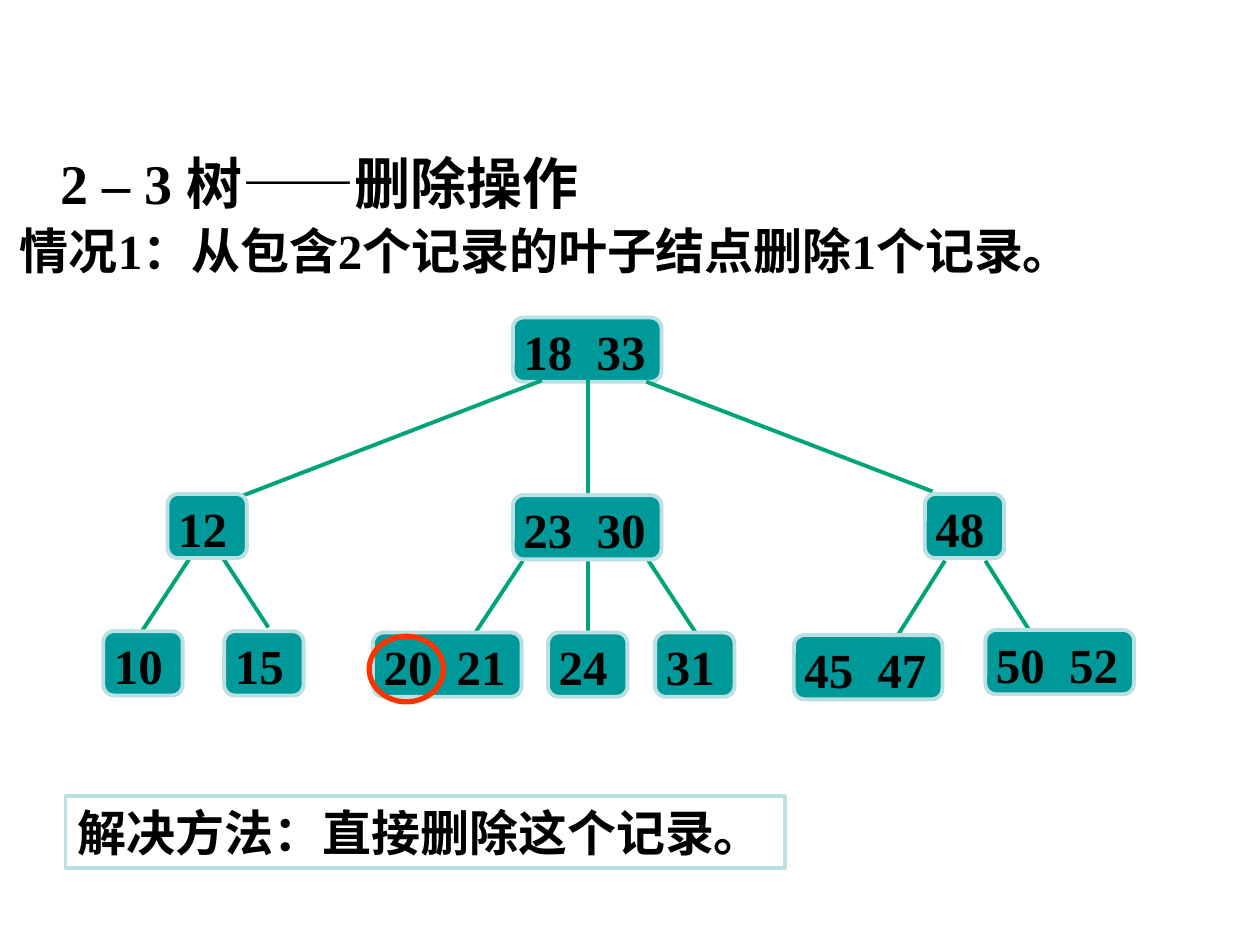
from lxml import etree
from pptx import Presentation
from pptx import util as u
from pptx.dml.color import RGBColor
from pptx.enum import shapes, text
from pptx.oxml.ns import qn

TEAL, PALE, GREEN, RED = "009999", "BBE0E3", "00A479", "FF3300"
NODE_HEIGHT = 0.51
NODE_WIDTHS = {1: 0.63, 2: 1.18}
KEY_GAP = 0.58


def write_text(shape, content, size=28, margins=(0.1, 0.05, 0.1, 0.05),
               anchor=text.MSO_ANCHOR.MIDDLE, wrap=True, grow=True, tab=None):
    """Fill the shape with one bold line; tab is a left tab stop in inches."""
    frame = shape.text_frame
    frame.word_wrap = wrap
    frame.vertical_anchor = anchor
    frame.auto_size = text.MSO_AUTO_SIZE.SHAPE_TO_FIT_TEXT if grow else text.MSO_AUTO_SIZE.NONE
    (frame.margin_left, frame.margin_top,
     frame.margin_right, frame.margin_bottom) = map(u.Inches, margins)
    paragraph = frame.paragraphs[0]
    paragraph.alignment = text.PP_ALIGN.LEFT
    if tab:
        properties = paragraph._p.get_or_add_pPr()
        stops = etree.SubElement(properties, qn("a:tabLst"))
        etree.SubElement(stops, qn("a:tab"), pos=str(u.Inches(tab)), algn="l")
    run = paragraph.add_run()
    run.text = content
    run.font.name = "Times New Roman"
    run.font.size = u.Pt(size)
    run.font.bold = True
    run.font.color.rgb = RGBColor.from_string("000000")


def add_outlined(kind, left, top, width, height, line, weight=2.25, fill=None):
    shape = slide.shapes.add_shape(kind, *map(u.Inches, (left, top, width, height)))
    shape.shadow.inherit = False
    if fill:
        shape.fill.solid()
        shape.fill.fore_color.rgb = RGBColor.from_string(fill)
    else:
        shape.fill.background()
    shape.line.color.rgb = RGBColor.from_string(line)
    shape.line.width = u.Pt(weight)
    return shape


presentation = Presentation()
presentation.slide_width = u.Inches(10)
presentation.slide_height = u.Inches(7.5)
slide = presentation.slides.add_slide(presentation.slide_layouts[6])

# Tree edges: x, y of the parent end, then of the child end
edges = [
    (4.3, 3.02, 1.91, 3.94), (4.67, 3.01, 4.67, 3.92), (5.13, 3.03, 7.4, 3.9),
    (1.5, 4.44, 1.12, 5.02), (1.77, 4.43, 2.13, 4.98),
    (4.15, 4.45, 3.76, 5.04), (4.67, 4.45, 4.67, 5.05), (5.14, 4.44, 5.56, 5.08),
    (7.5, 4.45, 7.12, 5.05), (7.82, 4.45, 8.2, 5.05),
]

# Tree nodes: left, top, keys; the root lies beneath the edges
root = (4.07, 2.52, (18, 33))
children = [
    (1.33, 3.92, (12,)), (4.07, 3.93, (23, 30)), (7.34, 3.92, (48,)),
    (0.82, 5.01, (10,)), (1.78, 5.01, (15,)),
    (2.96, 5.02, (20, 21)), (4.35, 5.02, (24,)), (5.2, 5.02, (31,)),
    (6.3, 5.04, (45, 47)), (7.82, 5, (50, 52)),
]

for nodes, node_edges in (([root], edges), (children, [])):
    for left, top, keys in nodes:
        node = add_outlined(shapes.MSO_SHAPE.ROUNDED_RECTANGLE, left, top,
                            NODE_WIDTHS[len(keys)], NODE_HEIGHT, PALE, fill=TEAL)
        write_text(node, "\t".join(map(str, keys)), margins=(0.06, 0.01, 0.02, 0.01),
                   anchor=text.MSO_ANCHOR.TOP, grow=False,
                   tab=KEY_GAP if len(keys) > 1 else None)
    for ends in node_edges:
        edge = slide.shapes.add_connector(shapes.MSO_CONNECTOR.STRAIGHT, *map(u.Inches, ends))
        edge.line.color.rgb = RGBColor.from_string(GREEN)
        edge.line.width = u.Pt(2.25)
        etree.SubElement(edge._element.spPr, qn("a:effectLst"))

# Headings
title = slide.shapes.add_textbox(*map(u.Inches, (0.38, 1.13, 4.57, 0.64)))
write_text(title, "2 – 3 树——删除操作", size=32, anchor=text.MSO_ANCHOR.TOP)
case = slide.shapes.add_textbox(*map(u.Inches, (0.06, 1.7, 9.19, 0.57)))
write_text(case, "情况1：从包含2个记录的叶子结点删除1个记录。", wrap=False)

# Ring around the deleted key, and the solution
add_outlined(shapes.MSO_SHAPE.OVAL, 2.93, 5.05, 0.59, 0.52, RED, weight=3)
solution = add_outlined(shapes.MSO_SHAPE.RECTANGLE, 0.52, 6.32, 5.71, 0.57, PALE)
write_text(solution, "解决方法：直接删除这个记录。")

presentation.save("out.pptx")
